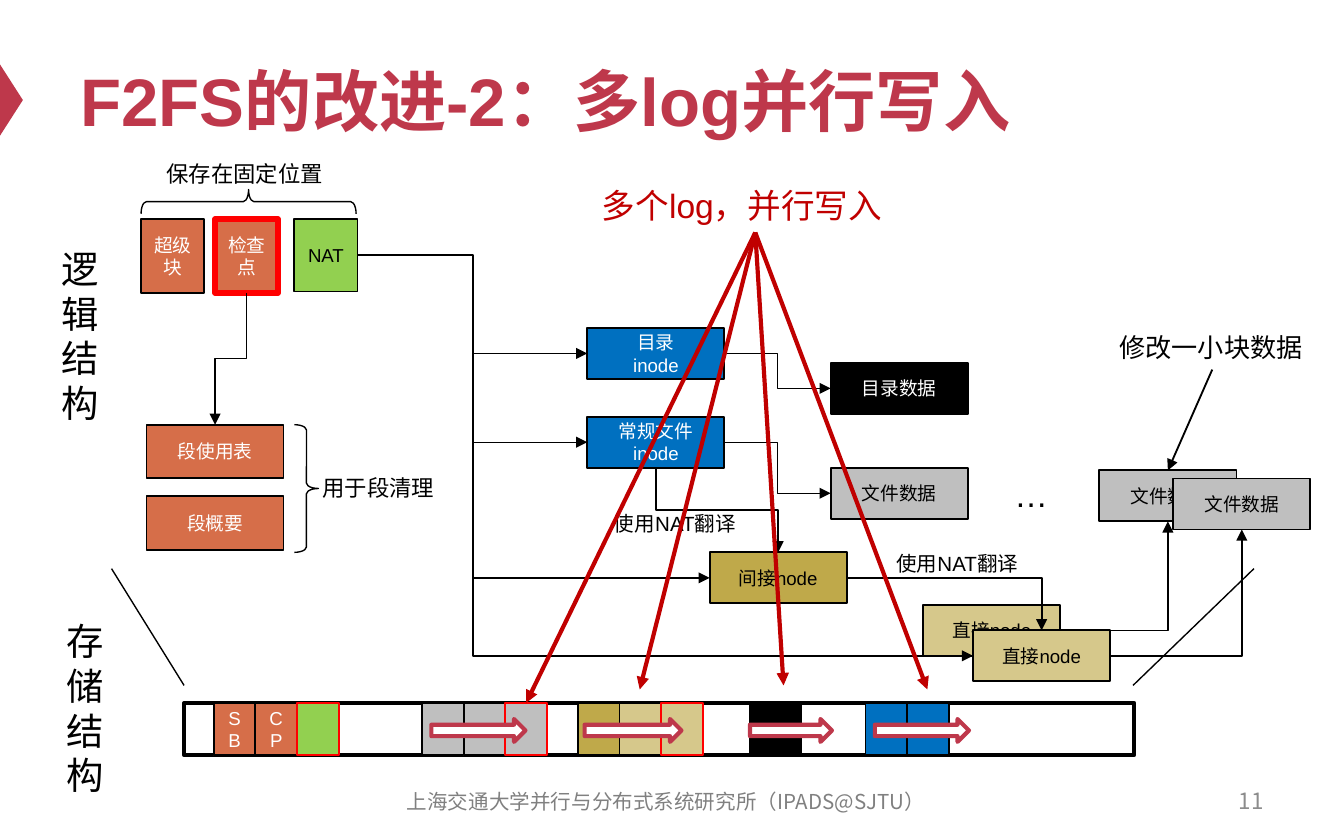
from dataclasses import dataclass

from lxml import etree
from pptx import Presentation
from pptx.dml.color import RGBColor
from pptx.enum.shapes import MSO_CONNECTOR, MSO_SHAPE
from pptx.enum.text import MSO_ANCHOR, PP_ALIGN
from pptx.oxml.ns import qn
from pptx.util import Inches, Pt

RECTANGLE, TRIANGLE = MSO_SHAPE.RECTANGLE, MSO_SHAPE.ISOSCELES_TRIANGLE
BRACE, BLOCK_ARROW = MSO_SHAPE.RIGHT_BRACE, MSO_SHAPE.RIGHT_ARROW
STRAIGHT, ELBOW = MSO_CONNECTOR.STRAIGHT, MSO_CONNECTOR.ELBOW
LEFT, CENTER, RIGHT = PP_ALIGN.LEFT, PP_ALIGN.CENTER, PP_ALIGN.RIGHT
TOP, MIDDLE = MSO_ANCHOR.TOP, MSO_ANCHOR.MIDDLE
SIDE_TOP, SIDE_LEFT, SIDE_BOTTOM, SIDE_RIGHT = range(4)

# The page is a grid of 100 columns by 100 rows.
PAGE_WIDTH, PAGE_HEIGHT = Inches(10), Inches(6.25)
COLUMN, ROW = PAGE_WIDTH / 100, PAGE_HEIGHT / 100


@dataclass(frozen=True)
class Theme:
    brand: str = "BE384B"
    meta: str = "D66E49"
    table: str = "92D050"
    inode: str = "0070C0"
    data: str = "BFBFBF"
    indirect: str = "BFA94A"
    direct: str = "D6C88B"
    black: str = "000000"
    white: str = "FFFFFF"
    alert: str = "FF0000"
    log: str = "C00000"
    footer: str = "808080"
    number: str = "8C8C8C"
    latin: str = "Arial"
    asian: str = "Noto Sans CJK SC"
    title: int = 36
    side: int = 20
    callout: int = 18
    note: int = 14
    caption: int = 12
    small: int = 11
    label: int = 10


THEME = Theme()


@dataclass(frozen=True)
class Box:
    """An area in columns and rows of the page grid."""
    left: float
    top: float
    width: float
    height: float

    def area(self, left, top, width, height):
        return Box(self.left + left, self.top + top, width, height)

    def point(self, column, row):
        return round((self.left + column) * COLUMN), round((self.top + row) * ROW)

    def frame(self):
        return (*self.point(0, 0), round(self.width * COLUMN), round(self.height * ROW))


def write(shape, text, size, color, align=LEFT, anchor=TOP, font=THEME.latin, bold=False):
    frame = shape.text_frame
    frame.word_wrap, frame.vertical_anchor = True, anchor
    for index, line in enumerate(text.split("\n")):
        para = frame.paragraphs[0] if index == 0 else frame.add_paragraph()
        para.alignment = align
        span = para.add_run()
        span.text = line
        span.font.size, span.font.bold, span.font.name = Pt(size), bold, font
        span.font.color.rgb = RGBColor.from_string(color)
        asian = etree.SubElement(span.font._element, qn("a:ea"))
        asian.set("typeface", THEME.asian)


def add_text(page, box, text, size, color=THEME.black, **style):
    write(page.shapes.add_textbox(*box.frame()), text, size, color, **style)


def add_form(page, kind, box, fill=None, line=THEME.black, weight=1.0, turn=0):
    form = page.shapes.add_shape(kind, *box.frame())
    form.shadow.inherit = False
    form.rotation = turn
    if fill:
        form.fill.solid()
        form.fill.fore_color.rgb = RGBColor.from_string(fill)
    else:
        form.fill.background()
    if line:
        form.line.color.rgb = RGBColor.from_string(line)
        form.line.width = Pt(weight)
    else:
        form.line.fill.background()
    return form


def add_block(page, box, text, fill, color=THEME.white, **outline):
    block = add_form(page, RECTANGLE, box, fill, **outline)
    block.text_frame.margin_left = block.text_frame.margin_right = Inches(0.07)
    write(block, text, THEME.label, color, CENTER, MIDDLE)
    return block


def add_brace(page, box, turn=0):
    brace = add_form(page, BRACE, box, weight=0.75, turn=turn)
    brace.adjustments[0] = 0.22


def add_line(page, start, end, weight=0.75, color=THEME.black, kind=STRAIGHT, arrow=True):
    link = page.shapes.add_connector(kind, *start, *end)
    link.line.color.rgb = RGBColor.from_string(color)
    link.line.width = Pt(weight)
    if arrow:
        etree.SubElement(link.line._get_or_add_ln(), qn("a:tailEnd")).set("type", "triangle")
    etree.SubElement(link._element.spPr, qn("a:effectLst"))
    return link


def side(shape, index):
    """Middle of a side: 0 top, 1 left, 2 bottom, 3 right."""
    across, down = ((0.5, 0), (0, 0.5), (0.5, 1), (1, 0.5))[index]
    return round(shape.left + shape.width * across), round(shape.top + shape.height * down)


def add_step(page, start, end, weight=0.75, bend=0.5):
    """Elbow that runs across, down and across, turning at a share of its width."""
    link = add_line(page, start, end, weight, kind=ELBOW)
    values = link._element.spPr.find(qn("a:prstGeom")).get_or_add_avLst()
    guide = etree.SubElement(values, qn("a:gd"))
    guide.set("name", "adj1")
    guide.set("fmla", f"val {round(bend * 100000)}")
    return link


def add_drop(page, start, end, weight=0.75):
    """Elbow that runs down, across and down: a step turned by a quarter."""
    middle = [(a + b) / 2 for a, b in zip(start, end)]
    half_across, half_down = [(b - a) / 2 for a, b in zip(start, end)]
    link = add_step(page, (round(middle[0] - half_down), round(middle[1] + half_across)),
                    (round(middle[0] + half_down), round(middle[1] - half_across)), weight)
    link._element.spPr.find(qn("a:xfrm")).set("rot", str(90 * 60000))


def add_corner(page, start, end, weight=0.75):
    """Elbow with one turn: across, then up or down."""
    link = add_line(page, start, end, weight, kind=ELBOW)
    link._element.spPr.find(qn("a:prstGeom")).set("prst", "bentConnector2")


def header(page, box):
    add_form(page, TRIANGLE, box.area(-1.8, 10.56, 5.3, 2.72), THEME.brand, None, turn=90)
    title = page.shapes.title
    title.left, title.top, title.width, title.height = box.area(5, 4, 90, 15.68).frame()
    write(title, "F2FS的改进-2：多log并行写入", THEME.title, THEME.brand, LEFT, MIDDLE, bold=True)


def footer(page, box):
    style = {"anchor": MIDDLE, "font": THEME.asian}
    add_text(page, box.area(71.7, 0.64, 23.3, 5.28), "11", THEME.caption, THEME.number,
             align=RIGHT, **style)
    add_text(page, box.area(27.9, 0.8, 43.3, 5.28), "上海交通大学并行与分布式系统研究所（IPADS@SJTU）",
             THEME.small, THEME.footer, align=CENTER, **style)


def storage_strip(page, box):
    """Draws the disk layout and returns the newest data cell."""
    add_form(page, RECTANGLE, box, THEME.white, weight=2)
    for index, text in enumerate(("SB", "CP")):
        add_block(page, box.area(2.2 + 3.1 * index, 0, 3.1, box.height), text, THEME.meta)
    add_form(page, RECTANGLE, box.area(8.4, 0, 3.1, box.height), THEME.table, THEME.alert)
    logs = (  # start, cell width, step, fills, arrow start, arrow width
        (17.7, 3.1, 3.1, (THEME.data,) * 3, 18.4, 7),
        (29.3, 3.1, 3.1, (THEME.indirect, THEME.direct, THEME.direct), 29.8, 7.2),
        (42.1, 1.85, 1.95, (THEME.black,) * 2, 42.1, 6.1),
        (50.7, 3.1, 3.1, (THEME.inode,) * 2, 51.4, 7),
    )
    newest = []
    for start, width, step, fills, arrow, length in logs:
        for index, fill in enumerate(fills):
            line = THEME.alert if index == 2 else THEME.black
            cell = add_form(page, RECTANGLE, box.area(start + step * index, 0, width, box.height),
                            fill, line)
        newest.append(cell)
        add_form(page, BLOCK_ARROW, box.area(arrow, 1.92, length, 2.72),
                 THEME.white, THEME.brand, 2.25)
    return newest[0]


def metadata(page, box):
    """Draws the fixed blocks and segment tables and returns the NAT block."""
    add_text(page, box.area(0.9, 0, 14.3, 4.8), "保存在固定位置", THEME.caption)
    add_brace(page, box.area(7.1, -7.04, 1.8, 25.6), turn=270)
    add_block(page, box.area(0, 7.84, 4.7, 8.8), "超级块", THEME.meta)
    checkpoint = add_block(page, box.area(5.5, 7.84, 4.7, 8.8), "检查点", THEME.meta,
                           line=THEME.alert, weight=3)
    nat = add_block(page, box.area(11.4, 7.84, 4.7, 8.64), "NAT", THEME.table, THEME.black)
    usage, _ = [add_block(page, box.area(0.4, 32.32 + 8.48 * index, 10.2, 6.4), text, THEME.meta)
                for index, text in enumerate(("段使用表", "段概要"))]
    add_drop(page, side(checkpoint, SIDE_BOTTOM), side(usage, SIDE_TOP))
    add_brace(page, box.area(11.4, 32.32, 1.8, 15.2))
    add_text(page, box.area(12.5, 37.44, 10.4, 4.8), "用于段清理", THEME.caption)
    return nat


def file_tree(page, box, nat):
    def node(column, row, text, fill, color=THEME.black):
        return add_block(page, box.area(column, row, 10.2, 6.08), text, fill, color)

    folder = node(0, 0, "目录\ninode", THEME.inode, THEME.white)
    file = node(0, 10.56, "常规文件inode", THEME.inode, THEME.white)
    folder_data = node(18.1, 4.16, "目录数据", THEME.black, THEME.white)
    file_data = node(18.1, 16.64, "文件数据", THEME.data)
    indirect = node(9.1, 26.72, "间接node", THEME.indirect)
    old_direct = node(25, 32.96, "直接node", THEME.direct)
    new_direct = node(28.7, 36, "直接node", THEME.direct)
    old_data = node(38.1, 16.96, "文件数据", THEME.data)
    new_data = node(43.6, 17.92, "文件数据", THEME.data)

    source, trunk = side(nat, SIDE_RIGHT), 35.2 * COLUMN
    for target, weight in ((folder, 0.75), (file, 0.75), (indirect, 0.75), (new_direct, 1)):
        end = side(target, SIDE_LEFT)
        add_step(page, source, end, weight, (trunk - source[0]) / (end[0] - source[0]))
    for inode, data in ((folder, folder_data), (file, file_data)):
        add_step(page, side(inode, SIDE_RIGHT), side(data, SIDE_LEFT))
    add_drop(page, side(file, SIDE_BOTTOM), side(indirect, SIDE_TOP), 1)
    add_corner(page, side(indirect, SIDE_RIGHT), side(new_direct, SIDE_TOP), 1)
    for direct, data, weight in ((old_direct, old_data, 0.75), (new_direct, new_data, 1)):
        add_corner(page, side(direct, SIDE_RIGHT), side(data, SIDE_BOTTOM), weight)

    for column, row in ((1, 20.96), (22, 25.76)):
        add_text(page, box.area(column, row, 11.3, 4.64), "使用NAT翻译", THEME.small)
    add_text(page, box.area(30.8, 16.64, 4.7, 6.4), "…", THEME.callout)
    add_text(page, box.area(38.6, -0.32, 15.8, 5.44), "修改一小块数据", THEME.note)
    edit = add_line(page, box.point(46.5, 4.96), side(old_data, SIDE_TOP), 1)
    edit.end_connect(old_data, SIDE_TOP)


def side_labels(page, box):
    add_text(page, box.area(0, 0, 3.9, 23.2), "逻辑结构", THEME.side)
    add_text(page, box.area(0.4, 44.32, 3.1, 23.2), "存储结构", THEME.side)


def zoom_lines(page, box):
    for start, end in ((0, 5.4), (box.width, box.width - 9)):
        add_line(page, box.point(start, 0), box.point(end, box.height), arrow=False)


def log_arrows(page, box, data_cell):
    add_text(page, box.area(0, 0, 24.9, 6.4), "多个log，并行写入", THEME.callout, THEME.log)
    apex = box.point(12.4, 6.4)
    for column, row in ((3.8, 60.8), (14.5, 60.32), (25.2, 60.8)):
        add_line(page, apex, box.point(column, row), 2.25, THEME.log)
    joined = add_line(page, apex, side(data_cell, SIDE_TOP), 2.25, THEME.log)
    joined.end_connect(data_cell, SIDE_TOP)


def main():
    deck = Presentation()
    deck.slide_width, deck.slide_height = PAGE_WIDTH, PAGE_HEIGHT
    page = deck.slides.add_slide(deck.slide_layouts[5])
    header(page, Box(0, 0, 100, 20))
    footer(page, Box(0, 92, 100, 6))
    data_cell = storage_strip(page, Box(13.7, 83.68, 70.7, 6.24))
    nat = metadata(page, Box(10.5, 18.24, 23, 48))
    file_tree(page, Box(43.7, 39.04, 54, 42), nat)
    side_labels(page, Box(3.6, 28.48, 4, 68))
    zoom_lines(page, Box(8.3, 67.7, 85, 13.9))
    log_arrows(page, Box(43.8, 21.28, 25.2, 61), data_cell)
    deck.save("out.pptx")


if __name__ == "__main__":
    main()
